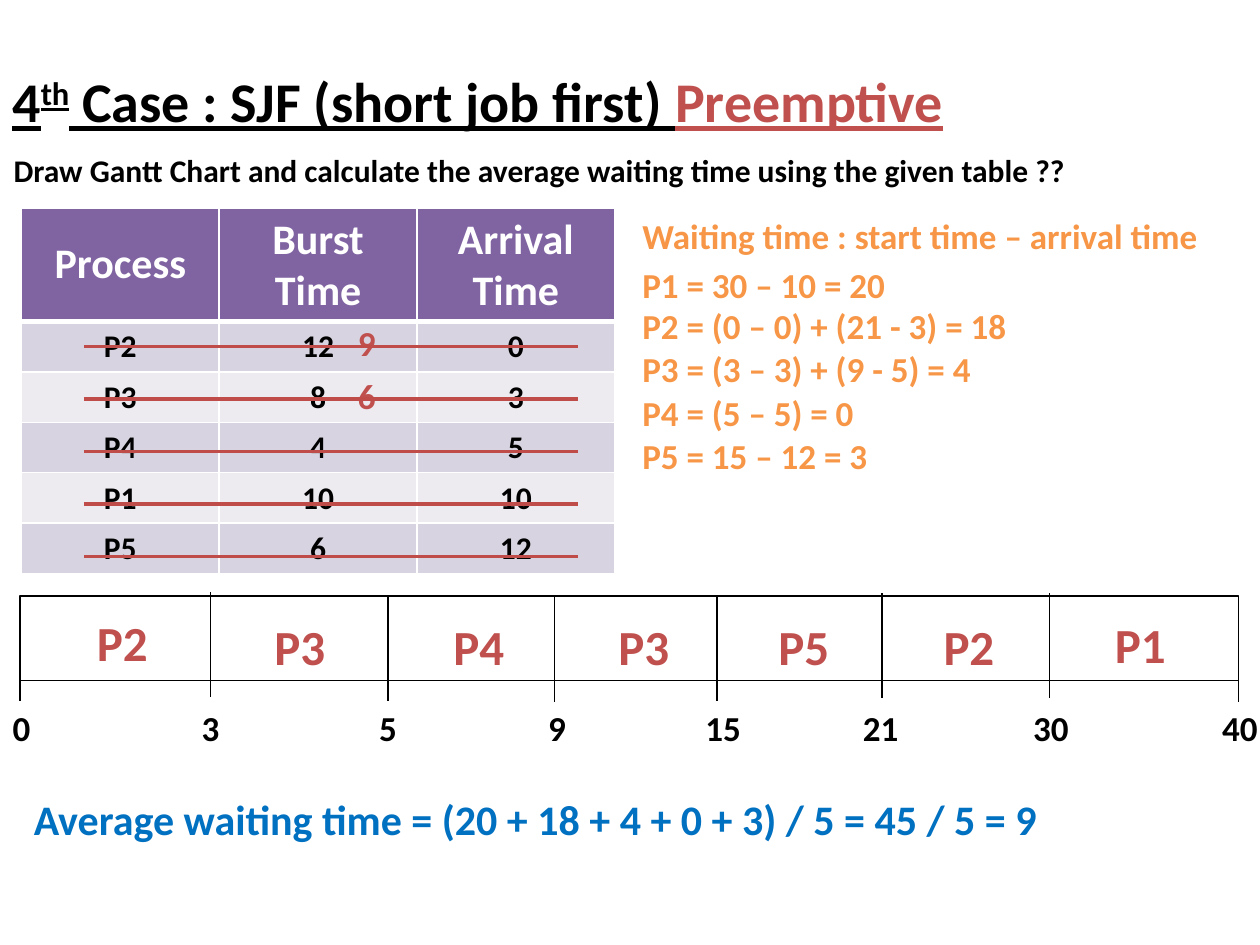
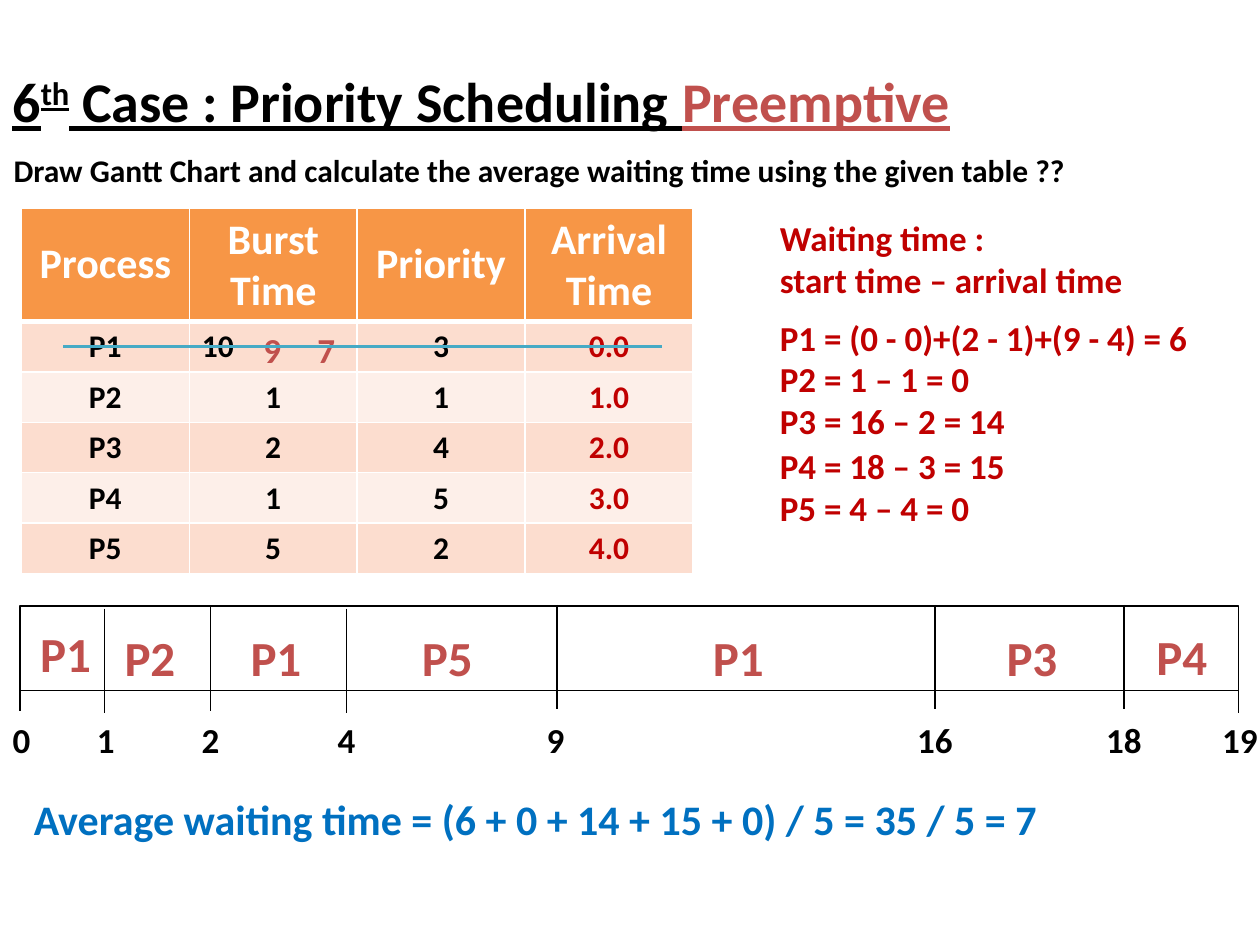
from pptx import Presentation
from pptx.dml.color import RGBColor
from pptx.enum.shapes import MSO_CONNECTOR, MSO_SHAPE
from pptx.enum.text import MSO_ANCHOR, PP_ALIGN
from pptx.oxml.ns import qn
from pptx.util import Inches, Pt
from lxml.etree import SubElement

# Shared style
FONT = "Calibri"
BLACK, WHITE, RED, BLUE = "000000", "FFFFFF", "C0504D", "0070C0"
DARK_RED, ORANGE = "C00000", "F79646"
TASK = "Draw Gantt Chart and calculate the average waiting time using the given table ??"
BAR_LEFT, BAR_WIDTH, BAR_HEIGHT, TICK = 0.16, 9.67, 0.67, 0.83
HEADER_HEIGHT, ROW_HEIGHT, STRIKE_STEP = 0.89, 0.4, 5 / 12

# Content: notes are (top, text), updates are (text, left, top),
# jobs are (name, centre, top), ticks are (time, x, top, label centre)
CASES = [
    {
        "number": "4", "name": " Case : SJF (short job first) ",
        "table": [["Process", "Burst Time", "Arrival Time"],
                  ["P2", "12", "0"], ["P3", "8", "3"], ["P4", "4", "5"],
                  ["P1", "10", "10"], ["P5", "6", "12"]],
        "table_width": 4.71, "fills": ("8064A2", "D8D3E0", "EDEAF0"),
        "last_column": BLACK, "left_cells": [],
        "note_left": 5, "note_color": ORANGE,
        "notes": [(1.65, "Waiting time : start time – arrival time"),
                  (2.04, "P1 = 30 – 10 = 20"),
                  (2.37, "P2 = (0 – 0) + (21 - 3) = 18"),
                  (2.71, "P3 = (3 – 3) + (9 - 5) = 4"),
                  (3.06, "P4 = (5 – 5) = 0"),
                  (3.4, "P5 = 15 – 12 = 3")],
        "updates": [("9", 2.74, 2.5), ("6", 2.74, 2.92)],
        "strikes": {"count": 5, "span": (0.67, 4.59), "color": "BF4C48", "width": 2.25},
        "bar_top": 4.73, "time_top": 5.56,
        "jobs": [("P2", 0.97, 4.81), ("P3", 2.38, 4.84), ("P4", 3.8, 4.84),
                 ("P3", 5.11, 4.84), ("P5", 6.38, 4.84), ("P2", 7.69, 4.84),
                 ("P1", 9.05, 4.83)],
        "ticks": [("0", 0.16, 4.73, 0.17), ("3", 1.67, 4.7, 1.67),
                  ("5", 3.08, 4.73, 3.08), ("9", 4.4, 4.74, 4.42),
                  ("15", 5.69, 4.73, 5.74), ("21", 7, 4.71, 6.99),
                  ("30", 8.33, 4.71, 8.34), ("40", 9.83, 4.74, 9.84)],
        "average": "(20 + 18 + 4 + 0 + 3) / 5 = 45 / 5 = 9",
    },
    {
        "number": "6", "name": " Case : Priority Scheduling ",
        "table": [["Process", "Burst Time", "Priority", "Arrival Time"],
                  ["P1", "10", "3", "0.0"], ["P2", "1", "1", "1.0"],
                  ["P3", "2", "4", "2.0"], ["P4", "1", "5", "3.0"],
                  ["P5", "5", "2", "4.0"]],
        "table_width": 5.33, "fills": (ORANGE, "FCDDCF", "FDEFE9"),
        "last_column": DARK_RED, "left_cells": [(1, 1)],
        "note_left": 6.09, "note_color": DARK_RED,
        "notes": [(1.67, "Waiting time :\vstart time – arrival time"),
                  (2.46, "P1 = (0 - 0)+(2 - 1)+(9 - 4) = 6"),
                  (2.79, "P2 = 1 – 1 = 0"),
                  (3.12, "P3 = 16 – 2 = 14"),
                  (3.48, "P4 = 18 – 3 = 15"),
                  (3.81, "P5 = 4 – 4 = 0")],
        "updates": [("9", 1.99, 2.56), ("7", 2.42, 2.56)],
        "strikes": {"count": 1, "span": (0.5, 5.25), "color": "46AAC5", "width": 1.5},
        "bar_top": 4.81, "time_top": 5.65,
        "jobs": [("P1", 0.52, 4.9), ("P2", 1.19, 4.93), ("P1", 2.19, 4.93),
                 ("P5", 3.55, 4.93), ("P1", 5.86, 4.93), ("P3", 8.19, 4.93),
                 ("P4", 9.38, 4.92)],
        "ticks": [("0", 0.16, 4.81, 0.17), ("1", 0.83, 4.83, 0.84),
                  ("2", 1.67, 4.81, 1.67), ("4", 2.75, 4.83, 2.75),
                  ("9", 4.42, 4.8, 4.41), ("16", 7.42, 4.8, 7.42),
                  ("18", 8.92, 4.8, 8.92), ("19", 9.83, 4.83, 9.84)],
        "average": "(6 + 0 + 14 + 15 + 0) / 5 = 35 / 5 = 7",
    },
]


def rgb(value):
    return RGBColor.from_string(value)


def style(r, size, color, **extra):
    for key, value in {"name": FONT, "size": Pt(size), "bold": True, **extra}.items():
        setattr(r.font, key, value)
    r.font.color.rgb = rgb(color)


def add_text(s, left, top, width, height, text, size, color, wrap=True):
    sp = s.shapes.add_textbox(*map(Inches, (left, top, width, height)))
    tf = sp.text_frame
    tf.word_wrap = wrap
    p = tf.paragraphs[0]
    p.text = text
    for r in p.runs:
        style(r, size, color)
    return tf


def add_label(s, centre, top, width, height, text, size, color):
    tf = add_text(s, centre - width / 2, top, width, height, text, size, color, wrap=False)
    tf.margin_left = tf.margin_right = 0
    tf.paragraphs[0].alignment = PP_ALIGN.CENTER


def add_line(s, x1, y1, x2, y2, color, width):
    line = s.shapes.add_connector(MSO_CONNECTOR.STRAIGHT, *map(Inches, (x1, y1, x2, y2)))
    line.line.color.rgb = rgb(color)
    line.line.width = Pt(width)
    SubElement(line._element.spPr, qn("a:effectLst"))


def add_title(s, case):
    tf = add_text(s, 0, 0.48, 10, 0.64, "", 32, BLACK)
    p = tf.paragraphs[0]
    parts = [(case["number"], BLACK), ("th", BLACK), (case["name"], BLACK), ("Preemptive", RED)]
    for text, color in parts:
        r = p.add_run()
        r.text = text
        style(r, 32, color, underline=True)
    p.runs[1]._r.get_or_add_rPr().set("baseline", "30000")


def format_cell(cell, fill, bottom):
    # Borders come before the fill in the cell properties
    tcPr = cell._tc.get_or_add_tcPr()
    for side, width in {"lnL": 1, "lnR": 1, "lnT": 1, "lnB": bottom}.items():
        ln = SubElement(tcPr, qn("a:" + side), w=str(Pt(width)))
        SubElement(SubElement(ln, qn("a:solidFill")), qn("a:srgbClr"), val=WHITE)
    cell.fill.solid()
    cell.fill.fore_color.rgb = rgb(fill)


def add_process_table(s, case):
    rows = case["table"]
    n_rows, n_cols = len(rows), len(rows[0])
    height = HEADER_HEIGHT + ROW_HEIGHT * (n_rows - 1)
    table = s.shapes.add_table(n_rows, n_cols, Inches(0.17), Inches(1.65),
                               Inches(case["table_width"]), Inches(height)).table
    header_fill, odd_fill, even_fill = case["fills"]
    for i, row in enumerate(rows):
        header = i == 0
        table.rows[i].height = Inches(HEADER_HEIGHT if header else ROW_HEIGHT)
        fill = header_fill if header else odd_fill if i % 2 else even_fill
        for j, text in enumerate(row):
            cell = table.cell(i, j)
            format_cell(cell, fill, 3 if header else 1)
            cell.vertical_anchor = MSO_ANCHOR.MIDDLE if header else MSO_ANCHOR.TOP
            p = cell.text_frame.paragraphs[0]
            p.alignment = PP_ALIGN.LEFT if (i, j) in case["left_cells"] else PP_ALIGN.CENTER
            r = p.add_run()
            r.text = text
            body_color = case["last_column"] if j == n_cols - 1 else BLACK
            style(r, 24 if header else 18, WHITE if header else body_color)


def add_gantt(s, case):
    bar = s.shapes.add_shape(MSO_SHAPE.RECTANGLE, *map(
        Inches, (BAR_LEFT, case["bar_top"], BAR_WIDTH, BAR_HEIGHT)))
    bar.shadow.inherit = False
    bar.fill.solid()
    bar.fill.fore_color.rgb = rgb(WHITE)
    bar.line.color.rgb = rgb(BLACK)
    bar.line.width = Pt(0.75)
    for time, x, top, centre in case["ticks"]:
        add_line(s, x, top, x, top + TICK, BLACK, 0.75)
        add_label(s, centre, case["time_top"], 0.3, 0.44, time, 20, BLACK)
    for name, centre, top in case["jobs"]:
        add_label(s, centre, top, 0.6, 0.57, name, 28, RED)


def add_case(prs, case):
    s = prs.slides.add_slide(prs.slide_layouts[6])
    add_title(s, case)
    add_process_table(s, case)
    add_text(s, 0.01, 1.15, 9.97, 0.4, TASK, 18, BLACK)
    # Waiting times
    left = case["note_left"]
    for top, text in case["notes"]:
        add_text(s, left, top, 10 - left, 0.44, text, 20, case["note_color"])
    add_gantt(s, case)
    add_text(s, 0.17, 6.25, 9.08, 0.5, "Average waiting time = " + case["average"], 24, BLUE)
    # Remaining burst times and finished processes
    for text, x, top in case["updates"]:
        add_label(s, x + 0.17, top, 0.34, 0.44, text, 20, RED)
    strikes = case["strikes"]
    x1, x2 = strikes["span"]
    for i in range(strikes["count"]):
        y = 2.75 + i * STRIKE_STEP
        add_line(s, x1, y, x2, y, strikes["color"], strikes["width"])


def main():
    prs = Presentation()
    prs.slide_width, prs.slide_height = Inches(10), Inches(7.5)
    for case in CASES:
        add_case(prs, case)
    prs.save("out.pptx")


if __name__ == "__main__":
    main()
